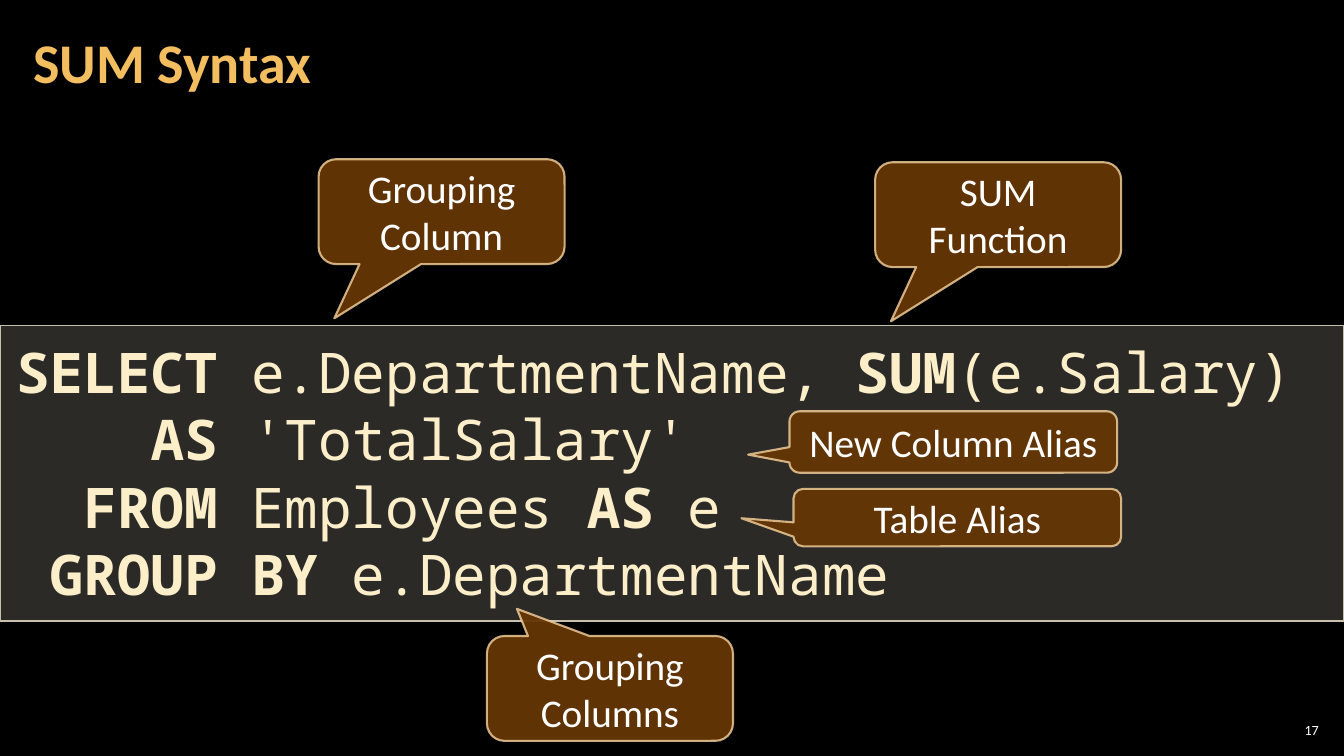
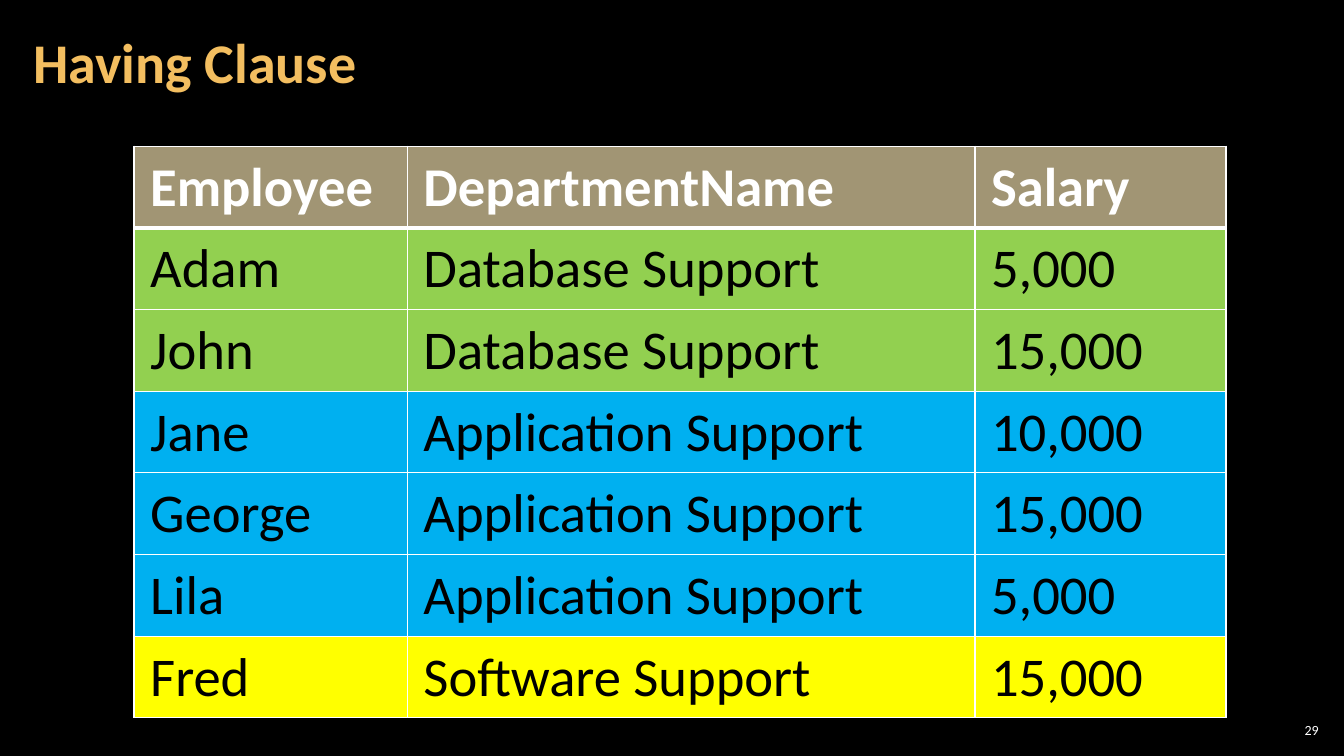
import pptx
import pptx.dml.color
import pptx.enum.shapes
import pptx.enum.text
import pptx.oxml.ns
import pptx.util
from lxml import etree

Inches = pptx.util.Inches
Pt = pptx.util.Pt
RGBColor = pptx.dml.color.RGBColor
Shape = pptx.enum.shapes.MSO_SHAPE
Align = pptx.enum.text.PP_ALIGN
Anchor = pptx.enum.text.MSO_ANCHOR
qn = pptx.oxml.ns.qn

BLACK = RGBColor(0x00, 0x00, 0x00)
WHITE = RGBColor(0xFF, 0xFF, 0xFF)
GOLD = RGBColor(0xF3, 0xBE, 0x60)
CODE_TEXT = RGBColor(0xFB, 0xEE, 0xC9)
CODE_FILL = RGBColor(0xD9, 0xD5, 0xC7)
CODE_LINE = RGBColor(0xC7, 0xBF, 0xAC)
CALLOUT_FILL = RGBColor(0x66, 0x36, 0x06)
CALLOUT_LINE = RGBColor(0xF8, 0xD4, 0x9E)
HEADER_FILL = RGBColor(0xA1, 0x95, 0x74)
GREEN = RGBColor(0x92, 0xD0, 0x50)
BLUE = RGBColor(0x00, 0xB0, 0xF0)
YELLOW = RGBColor(0xFF, 0xFF, 0x00)

TEXT_FONT = "Calibri"
CODE_FONT = "Noto Sans Mono"
CODE_SIZE = 40
CODE_CHARACTER = Pt(CODE_SIZE * 0.6)

# Each line: indent in characters, then (text, bold) spans
QUERY = [
    (0, [("SELECT ", True), ("e.DepartmentName, ", False), ("SUM", True), ("(e.Salary)", False)]),
    (4, [("AS", True), (" 'TotalSalary'", False)]),
    (2, [("FROM", True), (" Employees ", False), ("AS ", True), ("e", False)]),
    (1, [("GROUP BY ", True), ("e.DepartmentName", False)]),
]

# Text, position and size, pointer tip relative to the centre
CALLOUTS = [
    ("Grouping Column", (3.16, 1.58, 2.44, 1.04), (-0.436, 1.018)),
    ("SUM\vFunction", (8.68, 1.61, 2.44, 1.04), (-0.436, 1.018)),
    ("Grouping Columns", (4.83, 6.31, 2.44, 1.04), (-0.378, -0.759)),
    ("Table Alias", (7.87, 4.85, 3.25, 0.57), (-0.659, 0.012)),
    ("New Column Alias", (7.83, 4.08, 3.25, 0.61), (-0.626, 0.206)),
]

COLUMN_WIDTHS = [2.71, 5.63, 2.49]
ROW_HEIGHT = 0.81
EMPLOYEES = [
    (HEADER_FILL, ("Employee", "DepartmentName", "Salary")),
    (GREEN, ("Adam", "Database Support", "5,000")),
    (GREEN, ("John", "Database Support", "15,000")),
    (BLUE, ("Jane", "Application Support", "10,000")),
    (BLUE, ("George", "Application Support", "15,000")),
    (BLUE, ("Lila", "Application Support", "5,000")),
    (YELLOW, ("Fred", "Software Support", "15,000")),
]


def set_font(font, size, color, bold=False, name=TEXT_FONT):
    font.name = name
    font.size = Pt(size)
    font.bold = bold
    font.color.rgb = color


def set_margins(holder, across, down):
    holder.margin_left = holder.margin_right = Inches(across)
    holder.margin_top = holder.margin_bottom = Inches(down)


def set_opacity(fill_parent, percent):
    """Set the opacity of the solid fill directly inside an XML element."""
    color = fill_parent.find(qn("a:solidFill")).find(qn("a:srgbClr"))
    etree.SubElement(color, qn("a:alpha")).set("val", str(percent * 1000))


def add_text(page, text, at, margins, size, color, bold=False, align=Align.LEFT):
    box = page.shapes.add_textbox(*map(Inches, at))
    frame = box.text_frame
    frame.word_wrap = True
    frame.vertical_anchor = Anchor.MIDDLE
    set_margins(frame, *margins)
    para = frame.paragraphs[0]
    para.text = text
    para.alignment = align
    set_font(para.font, size, color, bold)
    return para


def add_page(deck, title, number):
    page = deck.slides.add_slide(deck.slide_layouts[6])
    heading = add_text(page, title, (0.21, 0.04, 10.47, 1.21), (0.12, 0.04), 40, GOLD, True)
    heading.line_spacing = 0.9
    add_text(page, str(number), (12.65, 7.14, 0.47, 0.21), (0.04, 0.04), 10, WHITE,
             align=Align.RIGHT)
    return page


def add_panel(page, kind, at, fill, fill_opacity, line, line_width):
    panel = page.shapes.add_shape(kind, *map(Inches, at))
    panel.shadow.inherit = False
    panel.fill.solid()
    panel.fill.fore_color.rgb = fill
    set_opacity(panel.fill._xPr, fill_opacity)
    panel.line.color.rgb = line
    panel.line.width = Pt(line_width)
    panel.text_frame.word_wrap = True
    return panel


def add_code(page, lines):
    panel = add_panel(page, Shape.RECTANGLE, (0, 3.23, 13.33, 2.93), CODE_FILL, 20, CODE_LINE, 1)
    frame = panel.text_frame
    frame.vertical_anchor = Anchor.TOP
    set_margins(frame, 0.16, 0.12)
    for index, (indent, spans) in enumerate(lines):
        para = frame.add_paragraph() if index else frame.paragraphs[0]
        para.alignment = Align.LEFT
        para._p.get_or_add_pPr().set("marL", str(indent * CODE_CHARACTER))
        for text, bold in spans:
            span = para.add_run()
            span.text = text
            set_font(span.font, CODE_SIZE, CODE_TEXT, bold, CODE_FONT)


def add_callout(page, text, at, tip):
    callout = add_panel(page, Shape.ROUNDED_RECTANGULAR_CALLOUT, at, CALLOUT_FILL, 95,
                        CALLOUT_LINE, 1.5)
    set_opacity(callout.line._get_or_add_ln(), 80)
    callout.adjustments[0], callout.adjustments[1] = tip
    frame = callout.text_frame
    frame.vertical_anchor = Anchor.MIDDLE
    para = frame.paragraphs[0]
    para.text = text
    para.alignment = Align.CENTER
    set_font(para.font, 28, WHITE)


def set_borders(cell, **widths):
    """Draw white borders; widths are in points by side: L, R, T, B."""
    properties = cell._tc.get_or_add_tcPr()
    for side, width in widths.items():
        line = etree.SubElement(properties, qn("a:ln" + side), w=str(Pt(width)))
        fill = etree.SubElement(line, qn("a:solidFill"))
        etree.SubElement(fill, qn("a:srgbClr"), val=str(WHITE))


def add_table(page, rows):
    frame = page.shapes.add_table(len(rows), len(COLUMN_WIDTHS), Inches(1.33), Inches(1.45),
                                  Inches(sum(COLUMN_WIDTHS)), Inches(ROW_HEIGHT * len(rows)))
    table = frame.table
    table.horz_banding = False
    for column, width in zip(table.columns, COLUMN_WIDTHS):
        column.width = Inches(width)
    for row_index, (fill, texts) in enumerate(rows):
        table.rows[row_index].height = Inches(ROW_HEIGHT)
        is_header = row_index == 0
        for column_index, text in enumerate(texts):
            cell = table.cell(row_index, column_index)
            set_margins(cell, 0.16, 0.08)
            set_borders(cell, L=1, R=1, T=3 if row_index == 1 else 1, B=3 if is_header else 1)
            cell.fill.solid()
            cell.fill.fore_color.rgb = fill
            para = cell.text_frame.paragraphs[0]
            para.text = text
            set_font(para.font, 39, WHITE if is_header else BLACK, is_header)


def main():
    deck = pptx.Presentation()
    deck.slide_width = Inches(13.33)
    deck.slide_height = Inches(7.5)
    background = deck.slide_master.background.fill
    background.solid()
    background.fore_color.rgb = BLACK

    syntax_page = add_page(deck, "SUM Syntax", 17)
    add_code(syntax_page, QUERY)
    for callout in CALLOUTS:
        add_callout(syntax_page, *callout)

    having_page = add_page(deck, "Having Clause", 29)
    add_table(having_page, EMPLOYEES)

    deck.save("out.pptx")


if __name__ == "__main__":
    main()
